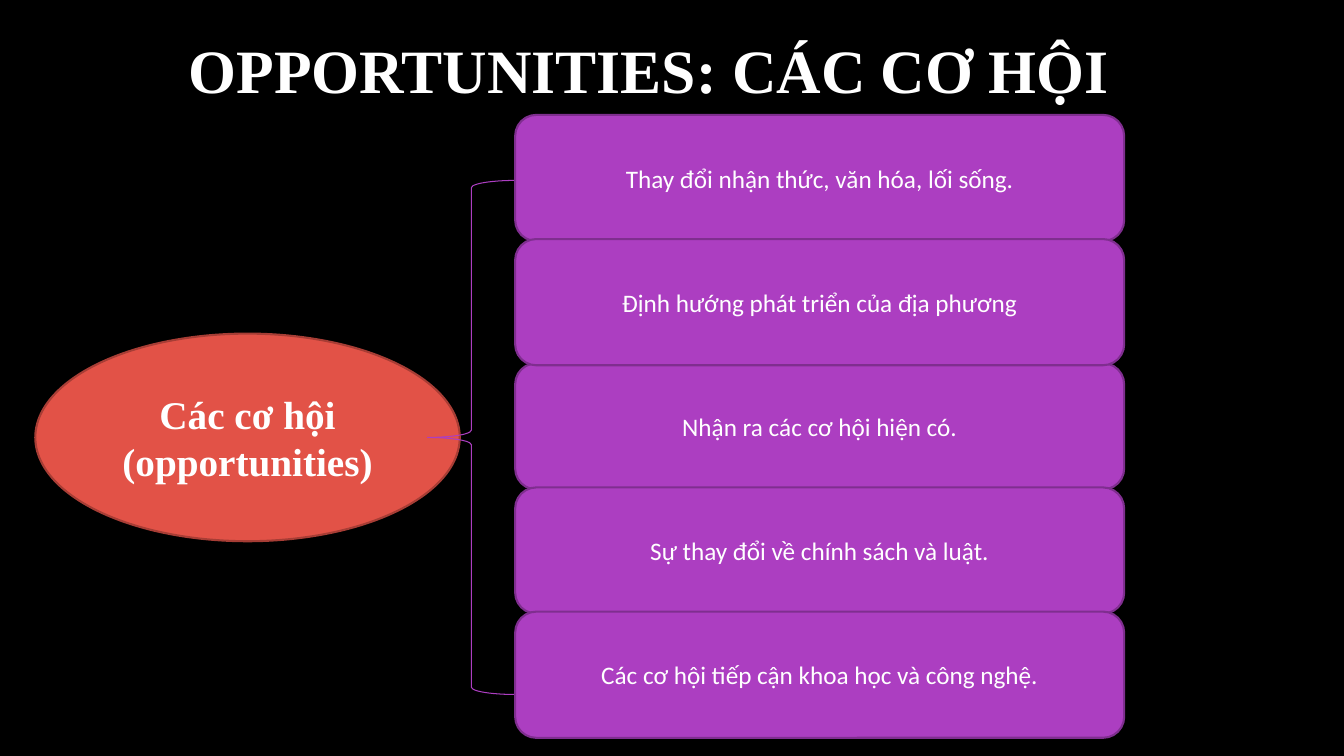
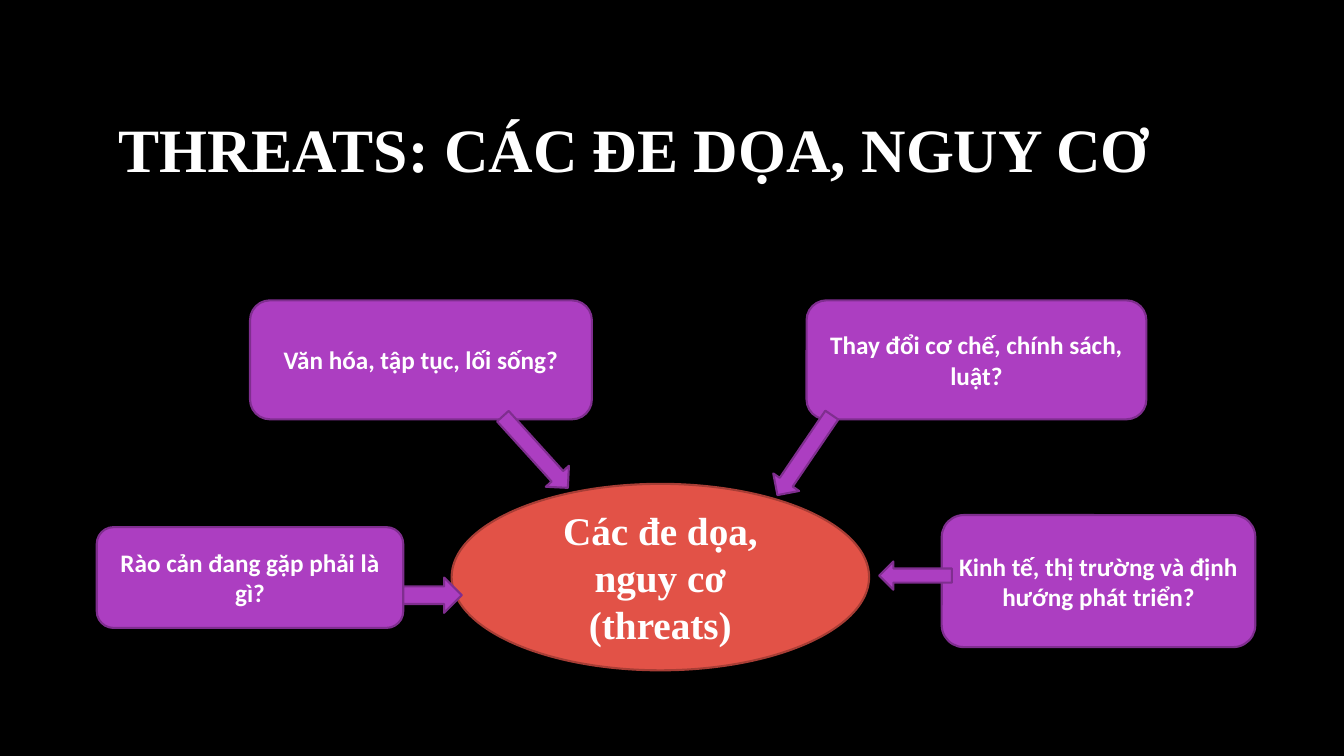
from pptx import Presentation
from pptx.dml.color import RGBColor
from pptx.enum.shapes import MSO_SHAPE
from pptx.enum.text import MSO_ANCHOR, PP_ALIGN
from pptx.util import Inches, Pt

# Shared look
BLACK = RGBColor(0x00, 0x00, 0x00)
WHITE = RGBColor(0xFF, 0xFF, 0xFF)
RED = RGBColor(0xE2, 0x52, 0x47)
DARK_RED = RGBColor(0xA7, 0x3D, 0x35)
PURPLE = RGBColor(0xAC, 0x3E, 0xC1)
DARK_PURPLE = RGBColor(0x7F, 0x2E, 0x8F)
SERIF = "Times New Roman"
SANS = "Calibri"

ELLIPSE = MSO_SHAPE.OVAL
ROUNDED = MSO_SHAPE.ROUNDED_RECTANGLE
BRACE = MSO_SHAPE.LEFT_BRACE
ARROW = MSO_SHAPE.RIGHT_ARROW
MIDDLE = MSO_ANCHOR.MIDDLE
CENTER = PP_ALIGN.CENTER

TITLE_ONLY = 5
TITLE_WIDTH, TITLE_HEIGHT = 11.08, 1.59


def write(shape, lines, size, font, bold):
    """Write centred white lines, one paragraph each."""
    frame = shape.text_frame
    frame.word_wrap = True
    frame.vertical_anchor = MIDDLE
    for index, line in enumerate(lines):
        paragraph = frame.add_paragraph() if index else frame.paragraphs[0]
        paragraph.alignment = CENTER
        run = paragraph.add_run()
        run.text = line
        run.font.size = Pt(size)
        run.font.name = font
        run.font.bold = bold
        run.font.color.rgb = WHITE


def add_figure(slide, kind, box, fill, outline, weight=1.5):
    """Add a preset shape in box (left, top, width, height)."""
    figure = slide.shapes.add_shape(kind, *map(Inches, box))
    figure.shadow.inherit = False
    if fill is None:
        figure.fill.background()
    else:
        figure.fill.solid()
        figure.fill.fore_color.rgb = fill
    figure.line.color.rgb = outline
    figure.line.width = Pt(weight)
    return figure


def add_topic(slide, box, lines):
    topic = add_figure(slide, ELLIPSE, box, RED, DARK_RED)
    write(topic, lines, 28, SERIF, True)


def add_card(slide, box, text, bold=False):
    card = add_figure(slide, ROUNDED, box, PURPLE, DARK_PURPLE)
    write(card, [text], 18, SANS, bold)


def add_arrow(slide, box, angle):
    arrow = add_figure(slide, ARROW, box, PURPLE, DARK_PURPLE)
    arrow.rotation = angle


def add_titled_slide(prs, text, left, top):
    slide = prs.slides.add_slide(prs.slide_layouts[TITLE_ONLY])
    title = slide.shapes.title
    title.left, title.top = Inches(left), Inches(top)
    title.width, title.height = Inches(TITLE_WIDTH), Inches(TITLE_HEIGHT)
    write(title, [text], 44, SERIF, True)
    return slide


def add_card_stack(slide, box, texts, overlap, front):
    """Stack equal cards that overlap slightly, with one card in front."""
    left, top, width, height = box
    count = len(texts)
    card_height = (height + overlap * (count - 1)) / count
    pitch = card_height - overlap
    for row in sorted(range(count), key=lambda index: index == front):
        add_card(slide, (left, top + row * pitch, width, card_height), texts[row])


def build_opportunities(prs):
    slide = add_titled_slide(prs, "OPPORTUNITIES: CÁC CƠ HỘI", 0.9, -0.11)
    add_topic(slide, (0.35, 3.31, 4.21, 2.06), ["Các cơ hội", "(opportunities)"])

    # Brace from the topic to the stack
    add_figure(slide, BRACE, (4.24, 1.79, 0.87, 5.1), None, PURPLE, 0.75)
    opportunities = [
        "Thay đổi nhận thức, văn hóa, lối sống.",
        "Định hướng phát triển của địa phương",
        "Nhận ra các cơ hội hiện có.",
        "Sự thay đổi về chính sách và luật.",
        "Các cơ hội tiếp cận khoa học và công nghệ.",
    ]
    add_card_stack(slide, (5.11, 1.14, 6.04, 6.18), opportunities, 0.02, front=1)


def build_threats(prs):
    slide = add_titled_slide(prs, "THREATS: CÁC ĐE DỌA, NGUY CƠ", 0.75, 0.67)
    add_topic(slide, (4.48, 4.8, 4.14, 1.85), ["Các đe dọa, nguy cơ", "(threats)"])

    # Each threat: text, card box, arrow box, arrow angle
    threats = [
        ("Rào cản đang gặp phải là gì?",
         (0.96, 5.23, 3.04, 1), (4, 5.73, 0.58, 0.35), 0),
        ("Văn hóa, tập tục, lối sống?",
         (2.48, 2.98, 3.39, 1.18), (4.83, 4.33, 0.96, 0.31), 47.8),
        ("Thay đổi cơ chế, chính sách, luật?",
         (8, 2.98, 3.37, 1.18), (7.5, 4.36, 0.96, 0.31), 124.2),
        ("Kinh tế, thị trường và định hướng phát triển?",
         (9.34, 5.11, 3.11, 1.31), (8.72, 5.57, 0.72, 0.28), 180),
    ]
    for text, card_box, arrow_box, angle in threats:
        add_card(slide, card_box, text, bold=True)
        add_arrow(slide, arrow_box, angle)


def main():
    prs = Presentation()
    prs.slide_width, prs.slide_height = Inches(13.33), Inches(7.5)
    backdrop = prs.slide_master.background.fill
    backdrop.solid()
    backdrop.fore_color.rgb = BLACK
    build_opportunities(prs)
    build_threats(prs)
    prs.save("out.pptx")


if __name__ == "__main__":
    main()
